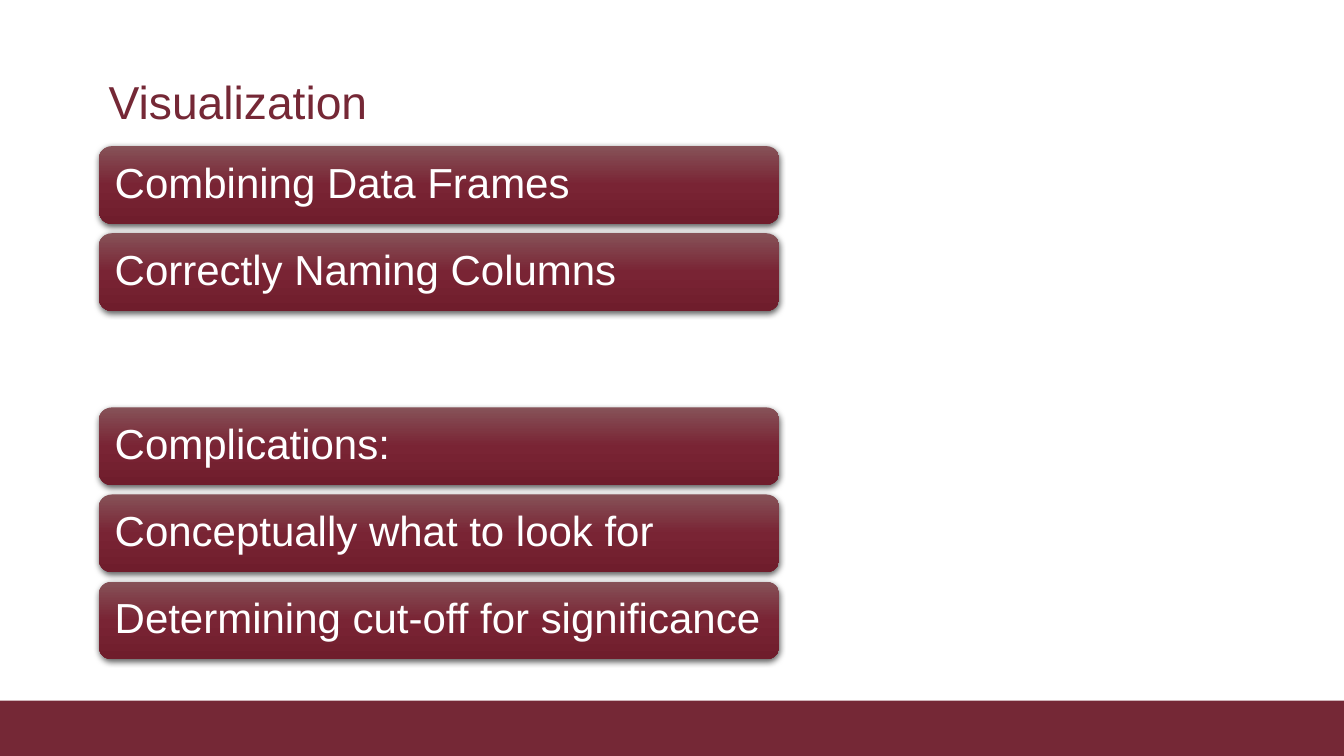
"""Build the Visualization slide with its column of topic bars."""
from dataclasses import dataclass

from pptx import Presentation
from pptx.dml.color import RGBColor
from pptx.enum.shapes import MSO_SHAPE
from pptx.enum.text import MSO_ANCHOR, PP_ALIGN
from pptx.oxml import parse_xml
from pptx.oxml.ns import nsdecls, qn
from pptx.shapes.autoshape import Shape
from pptx.slide import Slide
from pptx.util import Inches, Pt

MAROON = RGBColor(0x75, 0x28, 0x36)
WHITE = RGBColor(0xFF, 0xFF, 0xFF)
BAR_STOPS = (
    (0, RGBColor(0x86, 0x52, 0x58)),
    (50, RGBColor(0x79, 0x24, 0x34)),
    (100, RGBColor(0x6F, 0x1D, 0x2C)),
)
LEFT = 0.98
FIRST_TOP, LAST_TOP, LAST_ROW = 1.45, 5.77, 5


@dataclass(frozen=True)
class Bar:
    row: int
    text: str

    @property
    def top(self) -> float:
        return FIRST_TOP + self.row * (LAST_TOP - FIRST_TOP) / LAST_ROW


BARS = (
    Bar(0, "Combining Data Frames"),
    Bar(1, "Correctly Naming Columns"),
    Bar(3, "Complications:"),
    Bar(4, "Conceptually what to look for"),
    Bar(5, "Determining cut-off for significance"),
)


def set_text(sp: Shape, text: str, size: float, color: RGBColor, anchor: MSO_ANCHOR) -> None:
    tf = sp.text_frame
    tf.text = text
    tf.word_wrap = True
    tf.vertical_anchor = anchor
    p = tf.paragraphs[0]
    p.alignment = PP_ALIGN.LEFT
    p.line_spacing = 0.9
    font = p.runs[0].font
    font.name = "Arial"
    font.size = Pt(size)
    font.color.rgb = color


def style_bar(sp: Shape) -> None:
    sp.fill.gradient()
    sp.fill.gradient_angle = 270
    spPr = sp._element.spPr
    stops = spPr.find(qn("a:gradFill")).find(qn("a:gsLst"))
    for stop in list(stops):
        stops.remove(stop)
    for percent, color in BAR_STOPS:
        stops.append(parse_xml(
            f'<a:gs {nsdecls("a")} pos="{percent * 1000}"><a:srgbClr val="{color}"/></a:gs>'
        ))
    sp.line.fill.background()
    sp.shadow.inherit = False
    spPr.find(qn("a:effectLst")).append(parse_xml(
        f'<a:outerShdw {nsdecls("a")} blurRad="{Pt(4.5)}" dist="{Pt(1.5)}" dir="5400000" '
        'algn="ctr" rotWithShape="0"><a:srgbClr val="000000"><a:alpha val="63000"/>'
        '</a:srgbClr></a:outerShdw>'
    ))


def add_bar(s: Slide, bar: Bar) -> None:
    sp = s.shapes.add_shape(
        MSO_SHAPE.ROUNDED_RECTANGLE, Inches(LEFT), Inches(bar.top), Inches(6.75), Inches(0.77)
    )
    style_bar(sp)
    set_text(sp, bar.text, 30, WHITE, MSO_ANCHOR.MIDDLE)
    tf = sp.text_frame
    tf.margin_left = Inches(0.12)
    tf.margin_right = Inches(0.1)


def main() -> None:
    prs = Presentation()
    prs.slide_width, prs.slide_height = Inches(13.33), Inches(7.5)
    s = prs.slides.add_slide(prs.slide_layouts[6])

    footer = s.shapes.add_shape(
        MSO_SHAPE.RECTANGLE, 0, Inches(6.95), prs.slide_width, Inches(0.55)
    )
    footer.fill.solid()
    footer.fill.fore_color.rgb = MAROON
    footer.line.fill.background()
    footer.shadow.inherit = False

    title = s.shapes.add_textbox(Inches(LEFT), Inches(0.82), Inches(4.3), Inches(0.51))
    set_text(title, "Visualization", 33, MAROON, MSO_ANCHOR.BOTTOM)

    for bar in BARS:
        add_bar(s, bar)
    prs.save("out.pptx")


if __name__ == "__main__":
    main()
